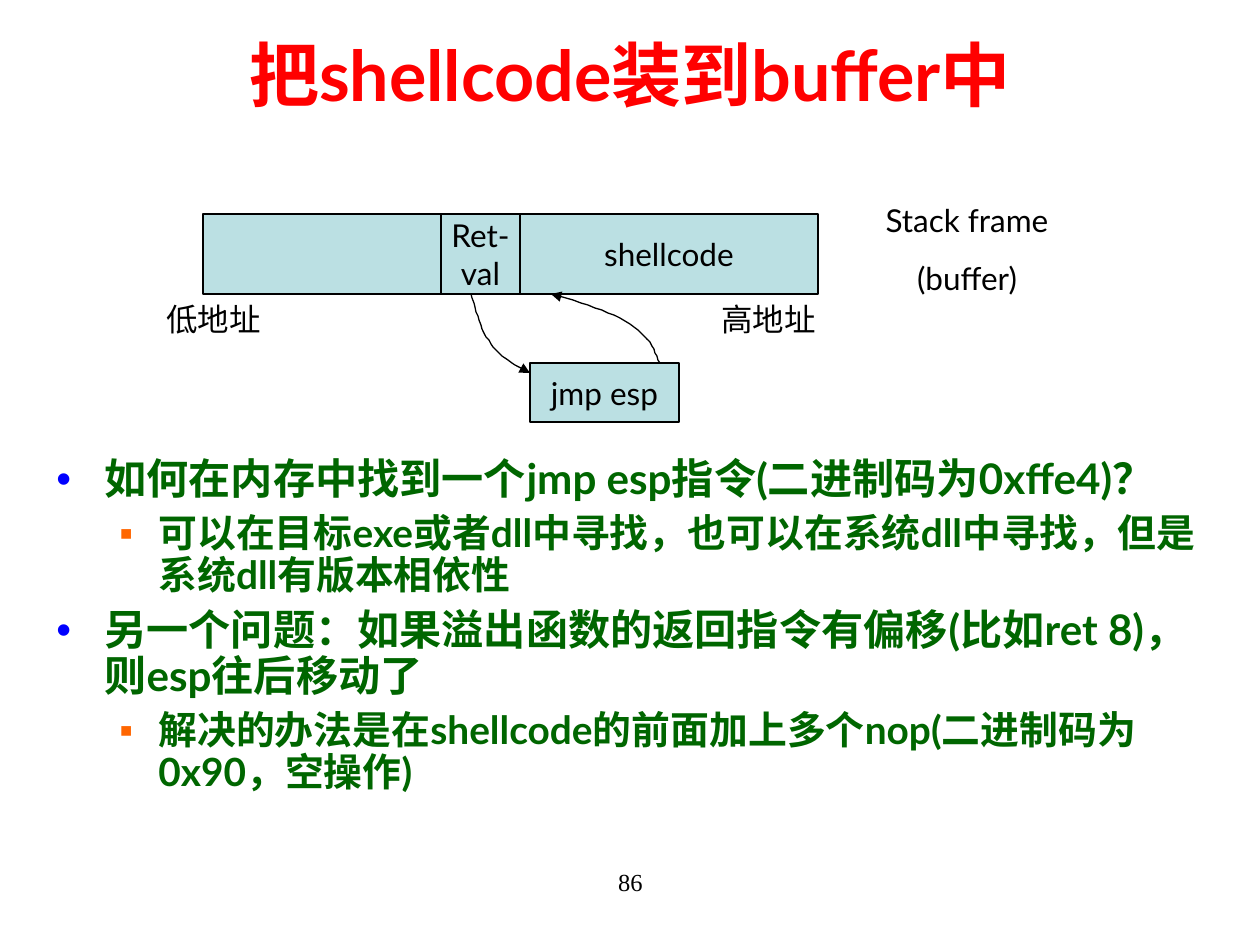
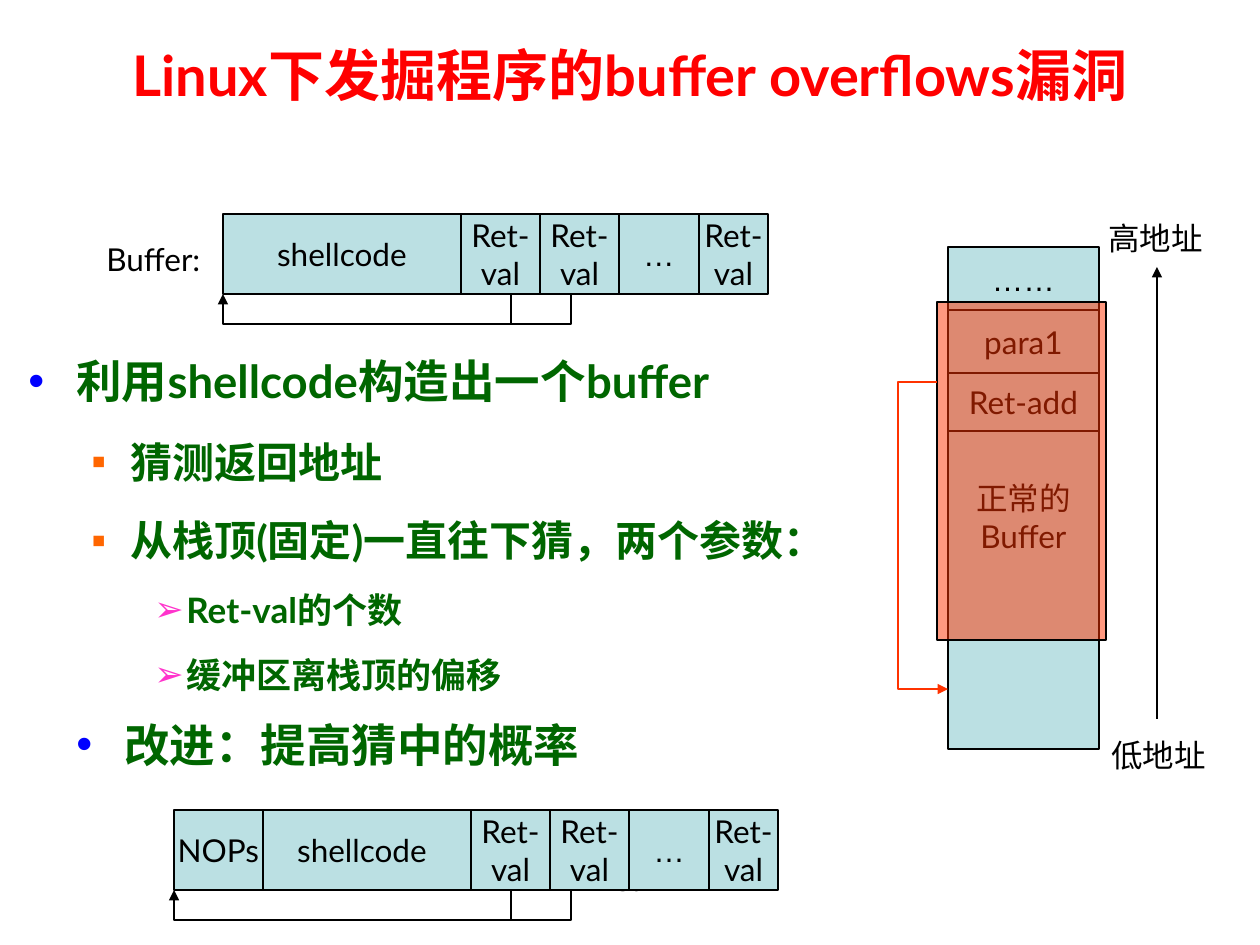
from typing import NamedTuple

from lxml import etree
from pptx import Presentation
from pptx.dml.color import RGBColor
from pptx.enum.shapes import MSO_CONNECTOR, MSO_SHAPE
from pptx.enum.text import MSO_ANCHOR, PP_ALIGN
from pptx.oxml.ns import qn
from pptx.util import Pt

RECT, LINE = MSO_SHAPE.RECTANGLE, MSO_CONNECTOR.STRAIGHT
LEFT, MID = PP_ALIGN.LEFT, PP_ALIGN.CENTER
TOP, CENTRE = MSO_ANCHOR.TOP, MSO_ANCHOR.MIDDLE

# Shared look
SCALE = 914400 / 126
BLACK, RED, GREEN, PALE, FLAME = "000000", "FF0000", "006600", "BBE0E3", "FF3300"
FACE = "Lato"
RET = "Ret-\nval"
HIGH, LOW = "高地址", "低地址"
ROW_H = 80


class Box(NamedTuple):
    x: int
    y: int
    w: int
    h: int


class Cell(NamedTuple):
    size: int
    text: str = ""
    face: str = FACE
    lift: int = 0


class Level(NamedTuple):
    mark: str
    color: str
    left: int
    hang: int
    gap: float


class Item(NamedTuple):
    depth: int
    size: float
    text: str


LEVELS = [
    Level("•", "0000FF", 48, 48, 6.5),
    Level("▪", "FF6600", 102, 39, 6),
    Level("➢", "FF33CC", 158, 32, 5),
]


def px(n: float) -> int:
    return round(n * SCALE)


def ink(code: str) -> RGBColor:
    return RGBColor.from_string(code)


def style(par, size: float, color: str, face: str = FACE, bold: bool = False) -> None:
    font = par.font
    font.name, font.size, font.bold = face, Pt(size), bold
    font.color.rgb = ink(color)


def frame(slide, box: Box, anchor=TOP):
    text = slide.shapes.add_textbox(*map(px, box)).text_frame
    text.word_wrap = True
    text.vertical_anchor = anchor
    return text


def write(text, words: str, size: float, color: str = BLACK, face: str = FACE,
          bold: bool = False, align=MID, gap: float = 0) -> None:
    for i, line in enumerate(words.split("\n")):
        par = text.add_paragraph() if i else text.paragraphs[0]
        par.text, par.alignment = line, align
        if i and gap:
            par.space_before = Pt(gap)
        style(par, size, color, face, bold)


def label(slide, box: Box, words: str, align=LEFT) -> None:
    write(frame(slide, box), words, 18, align=align, gap=11.2)


# Bulleted text
def bullets(slide, box: Box, items: list[Item], pitch: float) -> None:
    text = frame(slide, box)
    for i, item in enumerate(items):
        par = text.add_paragraph() if i else text.paragraphs[0]
        par.text, par.line_spacing, par.level = item.text, pitch, item.depth
        level = LEVELS[item.depth]
        if i:
            par.space_before = Pt(level.gap)
        props = par._p.get_or_add_pPr()
        props.set("marL", str(px(level.left)))
        props.set("indent", str(-px(level.hang)))
        tint = etree.SubElement(props, qn("a:buClr"))
        etree.SubElement(tint, qn("a:srgbClr"), val=level.color)
        etree.SubElement(props, qn("a:buFont"), typeface="Arial")
        etree.SubElement(props, qn("a:buChar"), char=level.mark)
        style(par, item.size, GREEN, bold=True)


# Boxes, rows and stacks
def block(slide, box: Box, cell: Cell, fill: str = PALE):
    shape = slide.shapes.add_shape(RECT, *map(px, box))
    shape.shadow.inherit = False
    shape.fill.solid()
    shape.fill.fore_color.rgb = ink(fill)
    shape.line.color.rgb = ink(BLACK)
    shape.line.width = Pt(0.75)
    if cell.text:
        text = shape.text_frame
        text.word_wrap, text.vertical_anchor = False, CENTRE
        text.margin_bottom = px(6 + cell.lift)
        write(text, cell.text, 18, face=cell.face)
    return shape


def row(slide, x: int, y: int, cells: list[Cell]) -> None:
    for cell in cells:
        block(slide, Box(x, y, cell.size, ROW_H), cell)
        x += cell.size


def stack(slide, x: int, y: int, w: int, cells: list[Cell]) -> None:
    for cell in cells:
        block(slide, Box(x, y, w, cell.size), cell)
        y += cell.size


# Lines and arrows
def stroke(shape, color: str, width: float, head: bool) -> None:
    shape.line.color.rgb = ink(color)
    shape.line.width = Pt(width)
    props = shape.element.spPr
    if head:
        etree.SubElement(props.find(qn("a:ln")), qn("a:tailEnd"), type="triangle")
    etree.SubElement(props, qn("a:effectLst"))


def trail(slide, spots: list, color: str = BLACK, width: float = 0.75,
          head: bool = True) -> None:
    pen = slide.shapes.build_freeform(*spots[0], scale=SCALE)
    pen.add_line_segments(spots[1:], close=False)
    shape = pen.convert_to_shape()
    shape.fill.background()
    stroke(shape, color, width, head)


def curve(slide, spots: list, steps: int = 12) -> None:
    """Draw joined cubic curves through spots."""
    path = [spots[0]]
    for k in range(0, len(spots) - 1, 3):
        a, b, c, d = spots[k:k + 4]
        for i in range(1, steps + 1):
            t = i / steps
            u = 1 - t
            path.append(tuple(
                u**3 * p + 3 * u * u * t * q + 3 * u * t * t * r + t**3 * s
                for p, q, r, s in zip(a, b, c, d)))
    trail(slide, path)


def hook(slide, left: int, top: int) -> None:
    near, far, base = 511, 571, top + 30
    trail(slide, [(near, top), (near, base), (left, base), (left, top)])
    trail(slide, [(far, top), (far, base), (near, base)], head=False)


def start(deck, number: str, title: str, size: int):
    slide = deck.slides.add_slide(deck.slide_layouts[6])
    write(frame(slide, Box(431, 861, 399, 63)), number, 14, face="Times New Roman")
    write(frame(slide, Box(0, 42, 1260, 64), CENTRE), title, size, RED, bold=True)
    return slide


# Slide: shellcode in the buffer
def load(deck) -> None:
    slide = start(deck, "86", "把shellcode装到buffer中", 40)
    bullets(slide, Box(44, 452, 1191, 456), [
        Item(0, 24.1, "如何在内存中找到一个jmp esp指令(二进制码为0xffe4)？"),
        Item(1, 22.2, "可以在目标exe或者dll中寻找，也可以在系统dll中寻找，"
                      "但是系统dll有版本相依性"),
        Item(0, 24.1, "另一个问题：如果溢出函数的返回指令有偏移(比如ret 8)，"
                      "则esp往后移动了"),
        Item(1, 22.2, "解决的办法是在shellcode的前面加上多个nop"
                      "(二进制码为0x90，空操作)"),
    ], 0.9)
    row(slide, 203, 214, [Cell(238), Cell(79, RET), Cell(298, "shellcode")])
    label(slide, Box(868, 195, 198, 146), "Stack frame\n(buffer)", MID)
    label(slide, Box(154, 294, 198, 50), LOW)
    label(slide, Box(709, 294, 198, 50), HIGH)
    block(slide, Box(530, 363, 149, 59), Cell(149, "jmp esp"))
    curve(slide, [(471, 294), (476, 312), (481, 330), (491, 344),
                  (500, 357), (515, 365), (530, 373)])
    curve(slide, [(660, 363), (654, 349), (648, 335), (630, 324),
                  (612, 312), (581, 302), (551, 294)])


# Slide: finding overflows
def hunt(deck) -> None:
    slide = start(deck, "90", "Linux下发掘程序的buffer overflows漏洞", 32)
    bullets(slide, Box(16, 328, 961, 383), [
        Item(0, 26, "利用shellcode构造出一个buffer"),
        Item(1, 24, "猜测返回地址"),
        Item(1, 24, "从栈顶(固定)一直往下猜，两个参数："),
        Item(2, 20, "Ret-val的个数"),
        Item(2, 20, "缓冲区离栈顶的偏移"),
    ], 1.35)
    bullets(slide, Box(64, 721, 743, 79), [Item(0, 26, "改进：提高猜中的概率")], 0.8)

    # Buffer layouts
    tail = [Cell(79, RET), Cell(79, RET), Cell(80, "…", "Arial"), Cell(69, RET)]
    label(slide, Box(94, 234, 159, 50), "Buffer:")
    row(slide, 223, 214, [Cell(238, "shellcode"), *tail])
    hook(slide, 223, 294)
    row(slide, 253, 810, [Cell(218, "shellcode"), *tail])
    block(slide, Box(174, 810, 89, ROW_H), Cell(89, "NOPs"))
    hook(slide, 174, 890)

    # Stack with the overwritten zone
    stack(slide, 948, 247, 151, [
        Cell(63, "……", "Arial"), Cell(63, "para1"), Cell(58, "Ret-add"),
        Cell(209, "正常的\nBuffer", lift=38), Cell(109),
    ])
    zone = block(slide, Box(937, 302, 169, 338), Cell(169), FLAME)
    tint = zone.element.spPr.find(qn("a:solidFill")).find(qn("a:srgbClr"))
    etree.SubElement(tint, qn("a:alpha"), val="50000")
    trail(slide, [(937, 382), (898, 382), (898, 689), (948, 689)], FLAME, 1.5)

    # Address axis
    axis = slide.shapes.add_connector(LINE, px(1157), px(719), px(1157), px(267))
    stroke(axis, BLACK, 0.75, True)
    label(slide, Box(1096, 213, 136, 50), HIGH)
    label(slide, Box(1099, 730, 136, 50), LOW)


def main() -> None:
    deck = Presentation()
    deck.slide_width, deck.slide_height = px(1260), px(945)
    load(deck)
    hunt(deck)
    deck.save("out.pptx")


if __name__ == "__main__":
    main()
